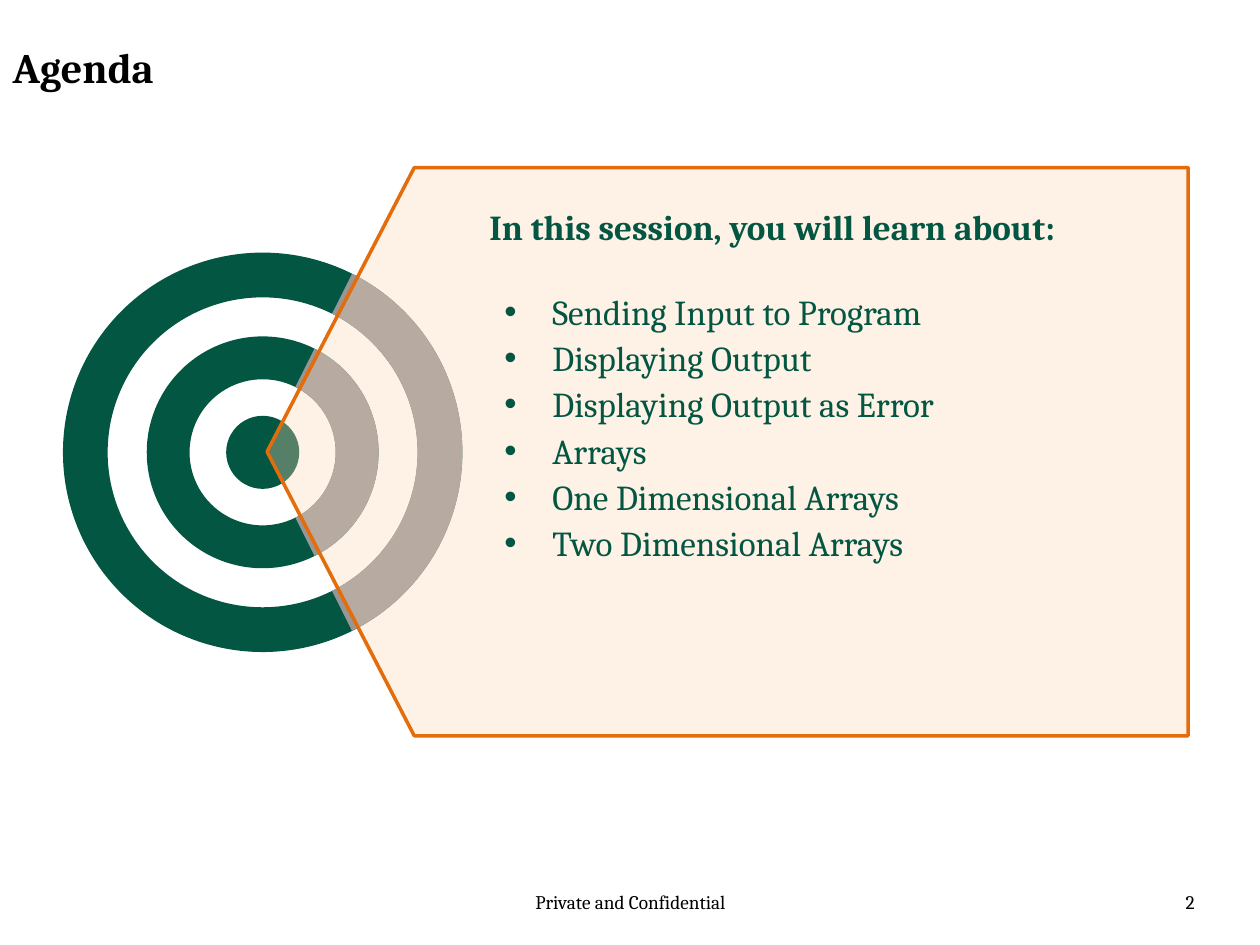
import pptx
import pptx.util
import pptx.dml.color
import pptx.enum.shapes
import pptx.enum.text
import pptx.oxml.ns
import pptx.oxml.xmlchemy

HEAD = "In this session, you will learn about:"
ITEMS = [
    "Sending Input to Program",
    "Displaying Output",
    "Displaying Output as Error",
    "Arrays",
    "One Dimensional Arrays",
    "Two Dimensional Arrays",
]
FOOT = [
    ("Private and Confidential", 3.42, 3.17, "CENTER"),
    ("2", 7.25, 2.33, "RIGHT"),
]
RINGS = [(1.84, 0.34), (3.17, 0.355)]
HUB = (2.085, 3.59)
DOT = 0.58
SWEEP = 63.4
COLOR = {"green": "035642", "gray": "969696", "peach": "FCD5B5",
         "edge": "E46C0A", "black": "000000"}
FONT = "Cambria"

inch = pptx.util.Inches
point = pptx.util.Pt
shapes = pptx.enum.shapes.MSO_SHAPE
align = pptx.enum.text.PP_ALIGN
anchor = pptx.enum.text.MSO_ANCHOR
qn = pptx.oxml.ns.qn


def rgb(name):
    return pptx.dml.color.RGBColor.from_string(COLOR[name])


def style(para, size, color, bold=False):
    for run in para.runs:
        font = run.font
        font.name, font.size, font.bold = FONT, point(size), bold
        font.color.rgb = rgb(color)


def draw(kind, box, fill):
    shape = slide.shapes.add_shape(kind, *map(inch, box))
    shape.shadow.inherit = False
    shape.fill.solid()
    shape.fill.fore_color.rgb = rgb(fill)
    shape.line.fill.background()
    return shape


def disc(kind, size, fill):
    x, y = HUB
    return draw(kind, (x - size / 2, y - size / 2, size, size), fill)


def node(tag, key, value):
    item = pptx.oxml.xmlchemy.OxmlElement(tag)
    item.set(key, value)
    return item


def bullet(para):
    props = para._p.get_or_add_pPr()
    props.set("marL", str(inch(0.5)))
    props.set("indent", str(inch(-0.38)))
    props.append(node("a:buFont", "typeface", "Arial"))
    props.append(node("a:buChar", "char", "•"))


deck = pptx.Presentation()
deck.slide_width, deck.slide_height = inch(10), inch(7.5)
slide = deck.slides.add_slide(deck.slide_layouts[5])

title = slide.shapes.title
title.left, title.top, title.width, title.height = map(inch, (0, 0.22, 7.59, 0.62))
title.text_frame.text = "Agenda"
title.text_frame.vertical_anchor = anchor.MIDDLE
title.text_frame.paragraphs[0].alignment = align.LEFT
style(title.text_frame.paragraphs[0], 24, "black", True)

for text, left, width, side in FOOT:
    box = slide.shapes.add_textbox(*map(inch, (left, 7.02, width, 0.4)))
    box.text_frame.word_wrap = True
    box.text_frame.text = text
    para = box.text_frame.paragraphs[0]
    para.alignment = align[side]
    style(para, 11, "black")

disc(shapes.OVAL, DOT, "green")
for size, thick in RINGS:
    ring = disc(shapes.DONUT, size, "green")
    ring.adjustments[0] = thick / size
for size, thick in RINGS:
    arc = disc(shapes.BLOCK_ARC, size, "gray")
    arc.adjustments[0] = (360 - SWEEP) * 0.6
    arc.adjustments[1] = SWEEP * 0.6
    arc.adjustments[2] = thick / size

panel = draw(shapes.PENTAGON, (2.12, 1.33, 7.31, 4.51), "peach")
panel.adjustments[0] = 0.259
panel._element.spPr.find(qn("a:xfrm")).set("flipH", "1")
panel._element.spPr.find(qn("a:solidFill"))[0].append(node("a:alpha", "val", "33000"))
panel.line.color.rgb = rgb("edge")
panel.line.width = point(2)

frame = panel.text_frame
frame.word_wrap = True
frame.vertical_anchor = anchor.MIDDLE
frame.margin_left, frame.margin_right = inch(1.18), inch(0.08)
frame.margin_top, frame.margin_bottom = 0, inch(1.03)
frame.text = "\n".join([HEAD] + ITEMS)
for spot, para in enumerate(frame.paragraphs):
    first = spot == 0
    para.alignment = align.LEFT
    para.line_spacing = 0.9 if first else 1.1
    if first:
        para.space_after = point(22)
    else:
        bullet(para)
    style(para, 20, "green", first)

deck.save("out.pptx")
